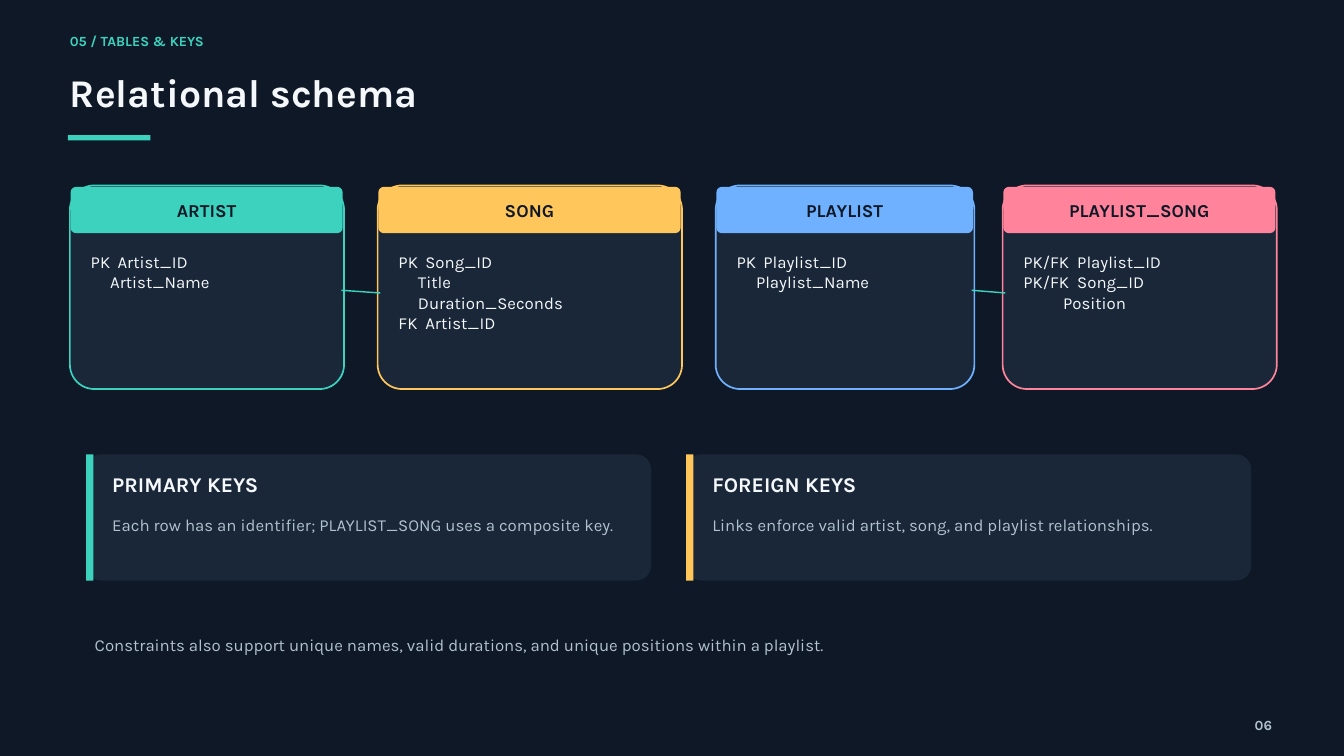
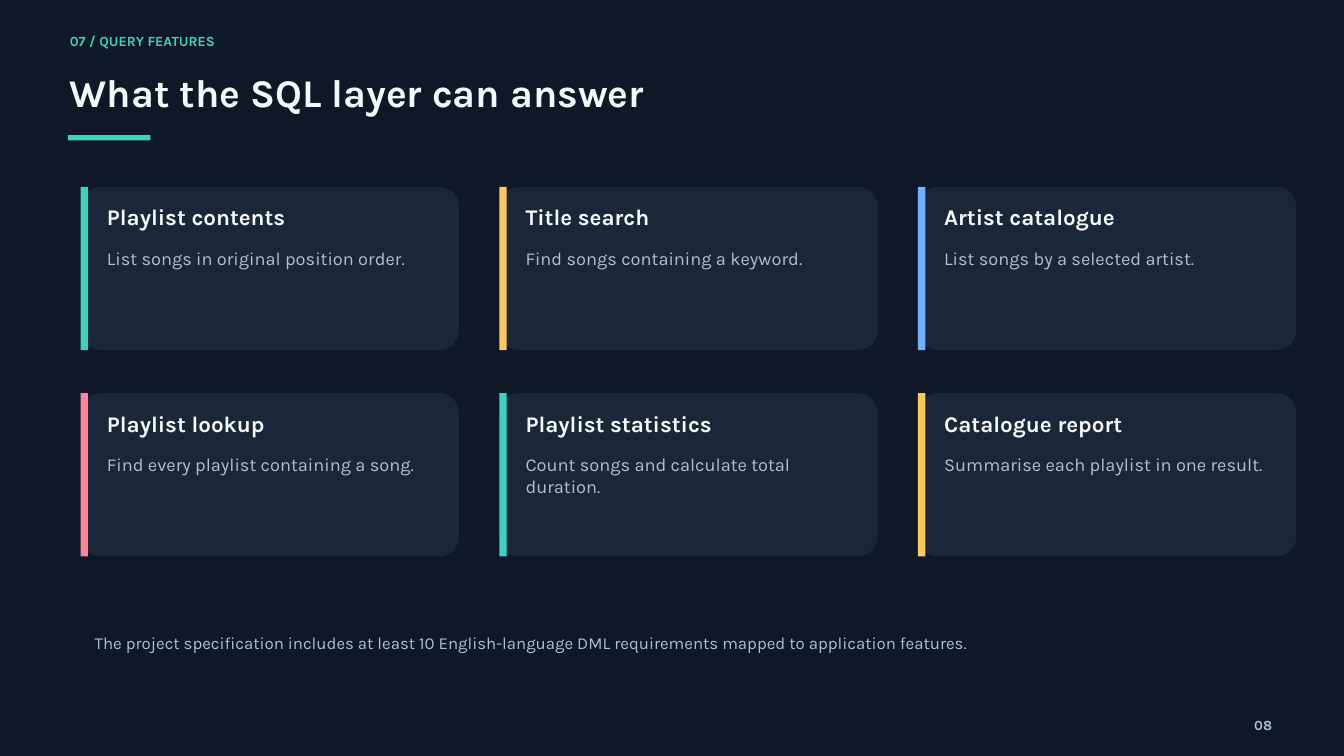
from pptx import Presentation
from pptx.dml.color import RGBColor as RGB
from pptx.enum.shapes import MSO_CONNECTOR as Link, MSO_SHAPE as Shape
from pptx.enum.text import MSO_AUTO_SIZE as Fit, PP_ALIGN as Align
from pptx.oxml.ns import qn
from pptx.util import Inches, Pt
from lxml.etree import SubElement as Sub

COLORS = {"back": "0F1826", "panel": "192739", "white": "F5F8FA", "gray": "B1C1CD",
          "teal": "3CD2BE", "gold": "FFC65C", "blue": "70B1FF", "pink": "FF849B"}
FONT = "Karla"
ROUND = 0.12

# Each field is (key, name); an empty key marks a plain column.
TABLES = [
    (1.04, 4.08, "ARTIST", "teal", [("PK", "Artist_ID"), ("", "Artist_Name")]),
    (5.62, 4.53, "SONG", "gold", [("PK", "Song_ID"), ("", "Title"),
                                  ("", "Duration_Seconds"), ("FK", "Artist_ID")]),
    (10.65, 3.85, "PLAYLIST", "blue", [("PK", "Playlist_ID"), ("", "Playlist_Name")]),
    (14.92, 4.08, "PLAYLIST_SONG", "pink", [("PK/FK", "Playlist_ID"),
                                            ("PK/FK", "Song_ID"), ("", "Position")]),
]
KEYS = [
    ("PRIMARY KEYS", "Each row has an identifier; PLAYLIST_SONG uses a composite key.", "teal"),
    ("FOREIGN KEYS", "Links enforce valid artist, song, and playlist relationships.", "gold"),
]
QUERIES = [
    ("Playlist contents", "List songs in original position order.", "teal"),
    ("Title search", "Find songs containing a keyword.", "gold"),
    ("Artist catalogue", "List songs by a selected artist.", "blue"),
    ("Playlist lookup", "Find every playlist containing a song.", "pink"),
    ("Playlist statistics", "Count songs and calculate total duration.", "teal"),
    ("Catalogue report", "Summarise each playlist in one result.", "gold"),
]


def color(name):
    return RGB.from_string(COLORS[name])


def box(slide, x, y, w, h):
    """Add an empty text frame without margins."""
    frame = slide.shapes.add_textbox(Inches(x), Inches(y), Inches(w), Inches(h)).text_frame
    frame.word_wrap = True
    frame.auto_size = Fit.SHAPE_TO_FIT_TEXT
    frame.margin_left = frame.margin_right = frame.margin_top = frame.margin_bottom = 0
    return frame


def style(para, size, tint, bold=False, align=Align.LEFT):
    para.alignment = align
    para.line_spacing = Pt(size * 1.2)
    font = para.font
    font.name, font.size, font.bold = FONT, Pt(size), bold
    font.color.rgb = color(tint)


def text(slide, x, y, w, h, words, size, tint, bold=False, align=Align.LEFT):
    para = box(slide, x, y, w, h).paragraphs[0]
    para.text = words
    style(para, size, tint, bold, align)


def block(slide, x, y, w, h, fill, edge=None, curve=True):
    kind = Shape.ROUNDED_RECTANGLE if curve else Shape.RECTANGLE
    shape = slide.shapes.add_shape(kind, Inches(x), Inches(y), Inches(w), Inches(h))
    shape.shadow.inherit = False
    shape.fill.solid()
    shape.fill.fore_color.rgb = color(fill)
    if curve:
        shape.adjustments[0] = ROUND
    if edge:
        shape.line.color.rgb = color(edge)
        shape.line.width = Pt(1.8)
    else:
        shape.line.fill.background()


def fields(slide, x, y, w, h, rows):
    """List the columns, with names lined up after the widest key."""
    wide = any(key == "PK/FK" for key, _ in rows)
    tab, indent = (0.8, 0.59) if wide else (0.4, 0.29)
    frame = box(slide, x, y, w, h)
    for i, (key, name) in enumerate(rows):
        para = frame.add_paragraph() if i else frame.paragraphs[0]
        para.text = f"{key}\t{name}" if key else name
        props = para._p.get_or_add_pPr()
        if key:
            stops = Sub(props, qn("a:tabLst"))
            Sub(stops, qn("a:tab"), pos=str(Inches(tab)), algn="l")
        else:
            props.set("marL", str(Inches(indent)))
            props.set("indent", "0")
        style(para, 18, "white")


def table(slide, x, w, name, tint, rows):
    block(slide, x, 2.76, w, 3.03, "panel", tint)
    block(slide, x + 0.01, 2.78, w - 0.03, 0.69, tint)
    text(slide, x + 0.19, 2.96, w - 0.39, 0.3, name, 19.5, "back", True, Align.CENTER)
    fields(slide, x + 0.31, 3.75, w - 0.6, 1.89, rows)


def link(slide, left, right):
    """Join two neighbouring tables."""
    start, end = left[0] + left[1] - 0.04, right[0] + 0.04
    line = slide.shapes.add_connector(Link.STRAIGHT, Inches(start), Inches(4.32),
                                      Inches(end), Inches(4.36))
    line.line.color.rgb = color("teal")
    line.line.width = Pt(1.5)
    Sub(line._element.spPr, qn("a:effectLst"))


def card(slide, x, y, w, h, head, body, tint, size):
    block(slide, x, y, w, h, "panel")
    block(slide, x, y, 0.11, h, tint, curve=False)
    text(slide, x + 0.39, y + 0.25, w - 0.72, 0.47, head, size, "white", True)
    text(slide, x + 0.39, y + 0.9, w - 0.72, h - 1.08, body, size - 4.5, "gray")


def page(deck, label, title, number):
    slide = deck.slides.add_slide(deck.slide_layouts[6])
    slide.background.fill.solid()
    slide.background.fill.fore_color.rgb = color("back")
    text(slide, 1.04, 0.48, 11.89, 0.32, label, 15, "teal", True)
    text(slide, 1.04, 1.01, 17.89, 0.81, title, 42, "white", True)
    block(slide, 1.01, 2.01, 1.23, 0.08, "teal", curve=False)
    text(slide, 18.3, 10.66, 0.63, 0.21, number, 15, "gray", True, Align.RIGHT)
    return slide


def note(slide, y, words):
    text(slide, 1.41, y, 17.1, 0.47, words, 18, "gray")


def schema(deck):
    slide = page(deck, "05 / TABLES & KEYS", "Relational schema", "06")
    for entry in TABLES:
        table(slide, *entry)
    for left, right in zip(TABLES[::2], TABLES[1::2]):
        link(slide, left, right)
    for i, (head, body, tint) in enumerate(KEYS):
        card(slide, 1.28 + 8.93 * i, 6.76, 8.41, 1.88, head, body, tint, 22.5)
    note(slide, 9.44, "Constraints also support unique names, valid durations, "
                      "and unique positions within a playlist.")


def queries(deck):
    slide = page(deck, "07 / QUERY FEATURES", "What the SQL layer can answer", "08")
    for i, (head, body, tint) in enumerate(QUERIES):
        row, col = divmod(i, 3)
        card(slide, 1.2 + 6.23 * col, 2.78 + 3.07 * row, 5.63, 2.43, head, body, tint, 24)
    note(slide, 9.41, "The project specification includes at least 10 English-language "
                      "DML requirements mapped to application features.")


def main():
    deck = Presentation()
    deck.slide_width, deck.slide_height = Inches(20), Inches(11.25)
    schema(deck)
    queries(deck)
    deck.save("out.pptx")


if __name__ == "__main__":
    main()
